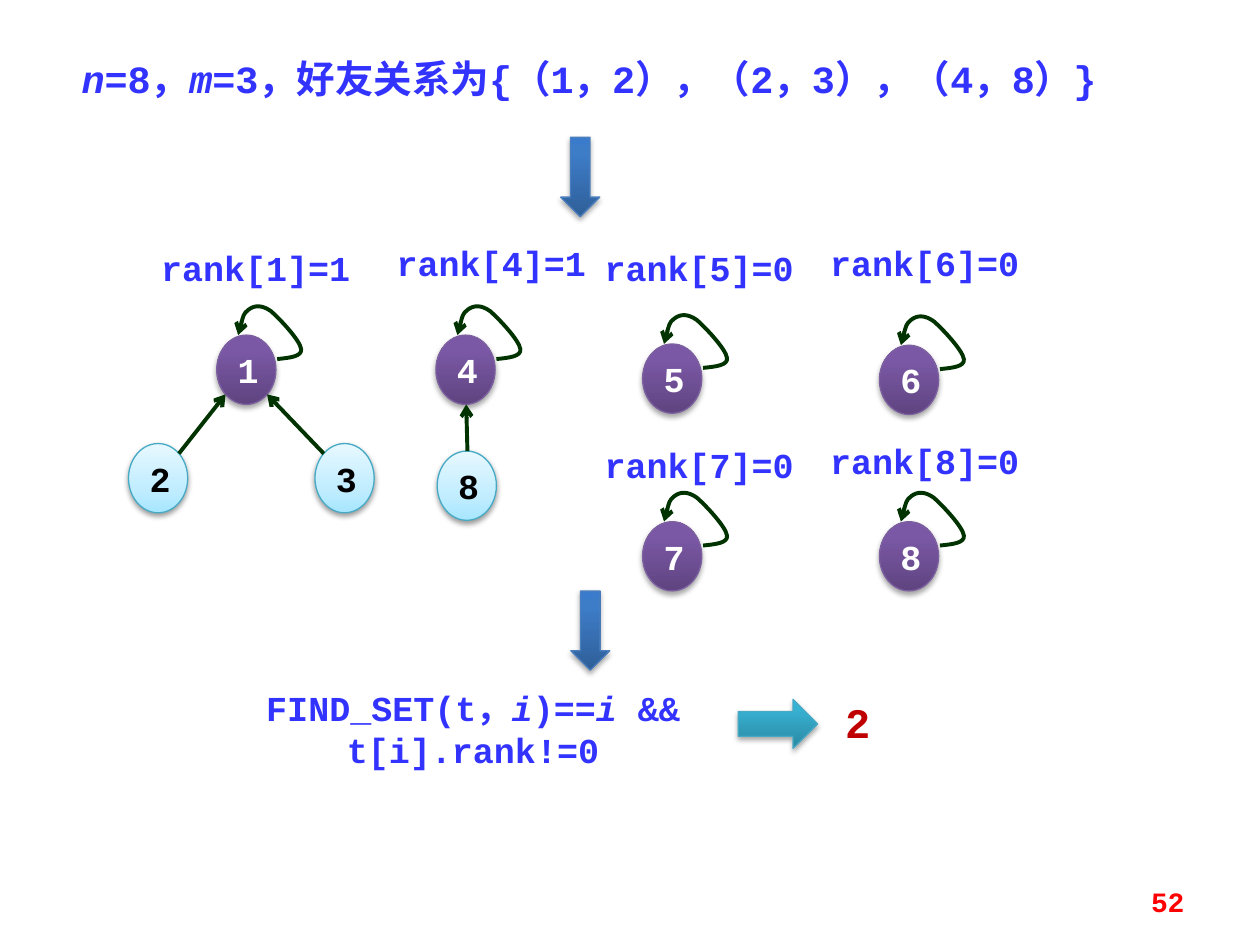
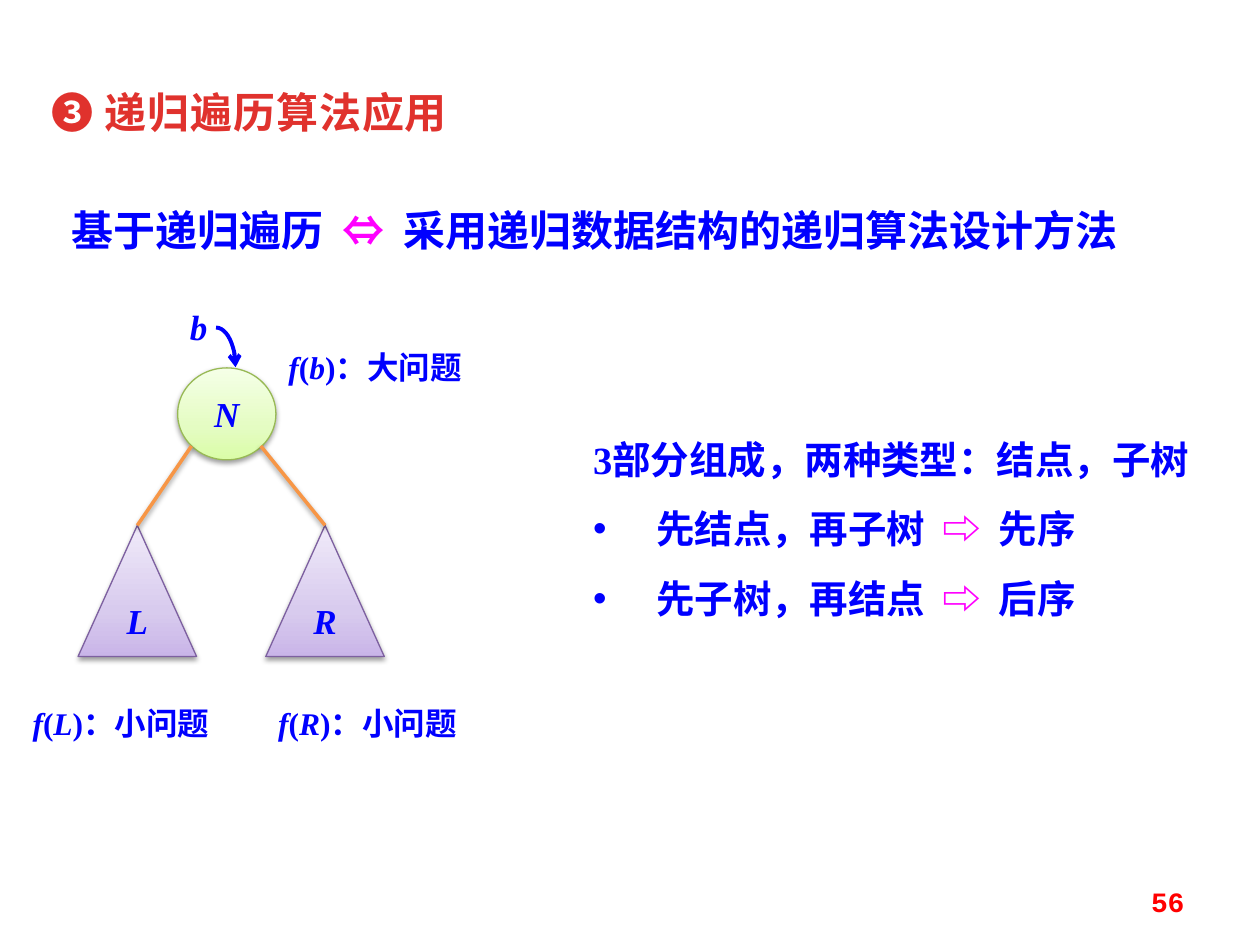
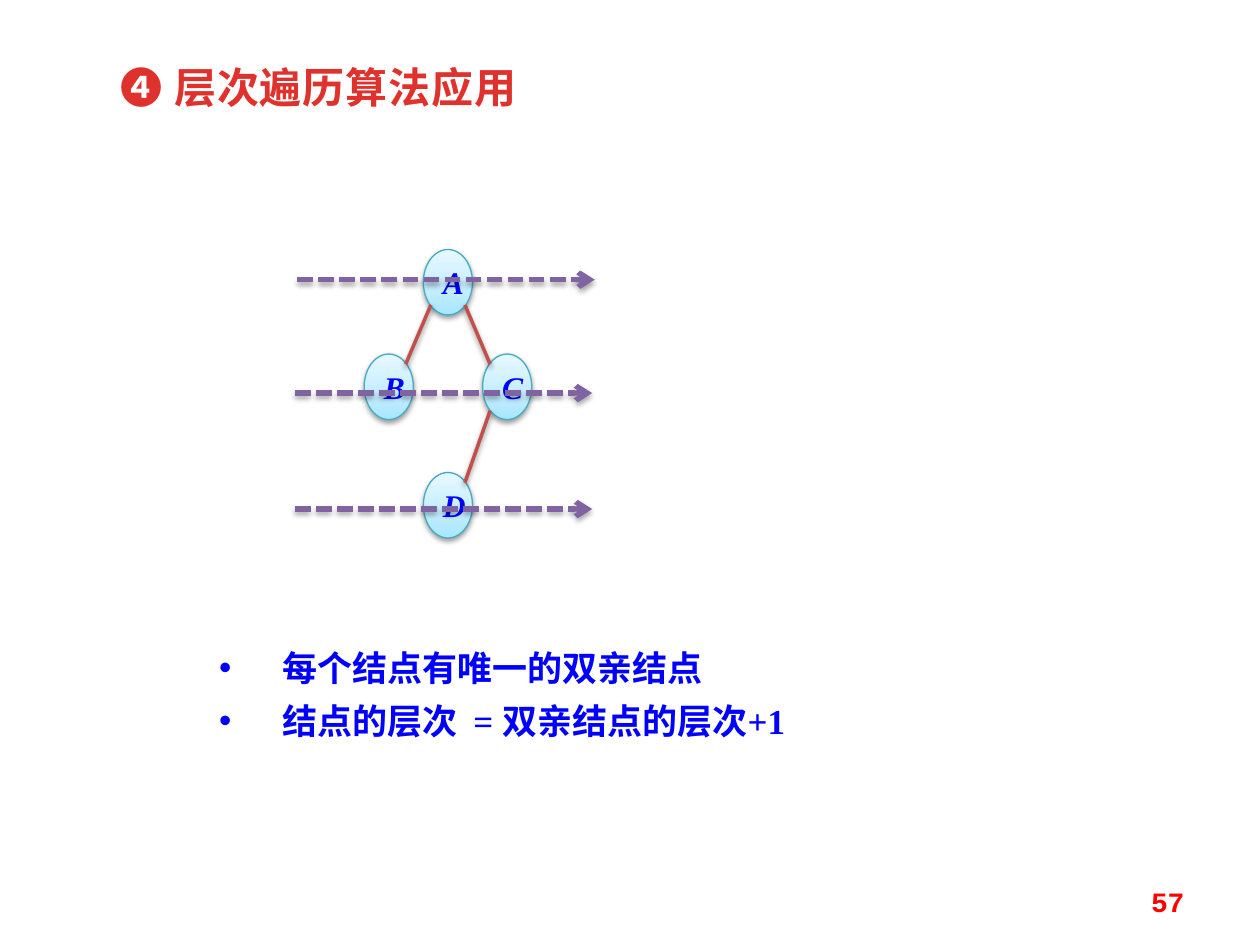
from dataclasses import dataclass
from pptx import Presentation
from pptx.dml.color import RGBColor
from pptx.enum.dml import MSO_LINE_DASH_STYLE as Dash
from pptx.enum.shapes import MSO_CONNECTOR as Link, MSO_SHAPE as Shape
from pptx.enum.text import MSO_ANCHOR as Anchor, MSO_AUTO_SIZE as Fit, PP_ALIGN as Align
from pptx.oxml import parse_xml
from pptx.oxml.ns import nsdecls, qn
from pptx.util import Inches, Pt


@dataclass(frozen=True)
class Theme:
    mono: str = "Courier New"
    serif: str = "Times New Roman"
    cjk: str = "Noto Sans CJK SC"
    bullet: str = "Arial"
    code: str = "3333FF"
    blue: str = "0000FF"
    pink: str = "FF00FF"
    white: str = "FFFFFF"
    black: str = "000000"
    loop: str = "003300"
    branch: str = "F79646"
    edge: str = "C0504D"
    level: str = "8064A2"
    answer: str = "C00000"
    number: str = "FF0000"
    heading: tuple = ((25, "E0322D"), (100, "A2201C"))
    large: int = 24
    medium: int = 22
    normal: int = 20
    small: int = 18
    footer: int = 16
    leading: Pt = Pt(30)


@dataclass(frozen=True)
class Skin:
    stops: tuple
    outline: str
    shadow: tuple


THEME = Theme()
STRONG, SOFT = (35, 3.1, 1.8), (38, 3.1, 1.6)
PURPLE = Skin(((0, "5F4480"), (80, "7B58A6"), (100, "7C57A8")), "7D60A0", STRONG)
BLUE = Skin(((0, "2F5F99"), (80, "3D7CC7"), (100, "3A7CCB")), "4B7EBC", STRONG)
TEAL = Skin(((0, "2A88A2"), (80, "37B1D2"), (100, "34B4D6")), "46AAC5", STRONG)
SKY = Skin(((0, "A7E6FF"), (35, "C1EDFF"), (100, "E7F8FF")), "46AAC5", SOFT)
LIME = Skin(((0, "DAFDA7"), (35, "E4FCC2"), (100, "F5FFE7")), "98B955", SOFT)
LILAC = Skin(((0, "C9B5E8"), (35, "D8CBEE"), (100, "F0EAF9")), "7D60A0", SOFT)

WIDTH, HEIGHT = 10, 7.5

FRIENDS = "*n*=8，*m*=3，好友关系为{（1，2），（2，3），（4，8）}"
CONDITION = "FIND_SET(t，*i*)==*i* && t[i].rank!=0"
SET_NODE = (0.47, 0.55)
ROOTS = [
    ("1", 1.72, 2.66, "rank[1]=1", 1.25, 1.91),
    ("4", 3.46, 2.66, "rank[4]=1", 3.12, 1.87),
    ("5", 5.1, 2.73, "rank[5]=0", 4.77, 1.91),
    ("6", 6.98, 2.74, "rank[6]=0", 6.56, 1.87),
    ("7", 5.1, 4.14, "rank[7]=0", 4.77, 3.47),
    ("8", 6.98, 4.14, "rank[8]=0", 6.56, 3.44),
]
CHILDREN = [("2", 1.02, 3.52), ("3", 2.5, 3.52), ("8", 3.47, 3.58)]
CHILD_LINKS = [
    ((1.42, 3.6), (1.79, 3.13)),
    ((2.57, 3.6), (2.12, 3.13)),
    ((3.71, 3.58), (3.7, 3.21)),
]
LOOP_START = (0.48, 0.19)
LOOP_CURVES = [
    ((0.58, 0.18), (0.68, 0.17), (0.67, 0.11)),
    ((0.66, 0.04), (0.5, -0.13), (0.43, -0.19)),
    ((0.36, -0.24), (0.3, -0.24), (0.25, -0.2)),
    ((0.21, -0.17), (0.19, -0.08), (0.17, 0)),
]

RECURSION = "基于递归遍历  *⇔*  采用递归数据结构的递归算法设计方法"
SUBTREES = [("L", 0.62), ("R", 2.11)]
BRANCHES = [((1.52, 3.54), (1.09, 4.17)), ((2.07, 3.54), (2.58, 4.17))]
PROBLEMS = [
    ("*f*(*b*)：大问题", 2.19, 2.6),
    ("*f*(*L*)：小问题", 0.16, 5.42),
    ("*f*(*R*)：小问题", 2.11, 5.42),
]
PARTS = "3部分组成，两种类型：结点，子树"
ORDERS = ["先结点，再子树  *⇨*  先序", "先子树，再结点  *⇨*  后序"]

TREE_NODE = (0.39, 0.52)
TREE_LEFT, TREE_STEP = 2.89, 0.47
TREE_NODES = [("B", 0, 2.81), ("A", 1, 1.98), ("C", 2, 2.81), ("D", 1, 3.75)]
TREE_EDGES = [
    ((3.42, 2.42), (3.22, 2.89)),
    ((3.69, 2.42), (3.89, 2.89)),
    ((3.89, 3.26), (3.69, 3.83)),
]
LEVELS = [(2.36, 2.22), (2.34, 3.12), (2.34, 4.04)]
LEVEL_LENGTH = 2.36
FACTS = ["每个结点有唯一的双亲结点", "结点的层次  = 双亲结点的层次+1"]


def inches(*lengths):
    return [Inches(length) for length in lengths]


def set_gradient(fill, parent, stops, angle):
    fill.gradient()
    fill.gradient_angle = angle
    stop_list = parent.find(qn("a:gradFill")).find(qn("a:gsLst"))
    for stop in list(stop_list):
        stop_list.remove(stop)
    for position, color in stops:
        stop_list.append(parse_xml(
            f'<a:gs {nsdecls("a")} pos="{position * 1000}"><a:srgbClr val="{color}"/></a:gs>'))


def set_shadow(item, shadow=None):
    inner = ""
    if shadow:
        alpha, blur, distance = shadow
        inner = (f'<a:outerShdw blurRad="{Pt(blur)}" dist="{Pt(distance)}" dir="5400000" '
                 f'rotWithShape="0"><a:srgbClr val="{THEME.black}">'
                 f'<a:alpha val="{alpha * 1000}"/></a:srgbClr></a:outerShdw>')
    item._element.spPr.append(
        parse_xml(f'<a:effectLst {nsdecls("a")}>{inner}</a:effectLst>'))


def set_line(item, color, width, arrow=False, dash=None, shadow=None):
    item.line.color.rgb = RGBColor.from_string(color)
    item.line.width = Pt(width)
    if dash:
        item.line.dash_style = dash
    if arrow:
        item.line._get_or_add_ln().append(
            parse_xml(f'<a:tailEnd {nsdecls("a")} type="arrow"/>'))
    set_shadow(item, shadow)


def add_text(para, text, font=THEME.serif, size=THEME.normal, color=THEME.blue, italic=False,
             accent=None, align=Align.LEFT, leading=None, bullet=False, gradient=None):
    if bullet:
        props = para._p.get_or_add_pPr()
        props.set("marL", str(Inches(0.5)))
        props.set("indent", str(-Inches(0.5)))
        props.append(parse_xml(f'<a:buFont {nsdecls("a")} typeface="{THEME.bullet}"/>'))
        props.append(parse_xml(f'<a:buChar {nsdecls("a")} char="•"/>'))
    para.alignment = align
    if leading:
        para.line_spacing = leading
    for index, piece in enumerate(text.split("*")):
        if not piece:
            continue
        marked = index % 2 == 1
        span = para.add_run()
        span.text = piece
        span.font.name = font
        span.font.size = Pt(size)
        span.font.bold = True
        span.font.italic = italic or (marked and not accent)
        props = span._r.get_or_add_rPr()
        if gradient:
            set_gradient(span.font.fill, props, gradient, 270)
            props.set("spc", "50")
        else:
            span.font.color.rgb = RGBColor.from_string(accent if marked and accent else color)
        props.find(qn("a:latin")).addnext(
            parse_xml(f'<a:ea {nsdecls("a")} typeface="{THEME.cjk}"/>'))


def add_box(page, place, *lines, anchor=Anchor.TOP, side=0.1, fit=Fit.SHAPE_TO_FIT_TEXT,
            wrap=True, bullets_from=None, **style):
    box = page.shapes.add_textbox(*inches(*place))
    frame = box.text_frame
    frame.word_wrap = wrap
    frame.auto_size = fit
    frame.vertical_anchor = anchor
    frame.margin_left = frame.margin_right = Inches(side)
    for index, line in enumerate(lines):
        para = frame.add_paragraph() if index else frame.paragraphs[0]
        bullet = bullets_from is not None and index >= bullets_from
        add_text(para, line, bullet=bullet, **style)


def add_title(page, text, place):
    title = page.shapes.title
    title.left, title.top, title.width, title.height = inches(*place)
    frame = title.text_frame
    frame.word_wrap = True
    frame.auto_size = Fit.SHAPE_TO_FIT_TEXT
    frame.vertical_anchor = Anchor.TOP
    add_text(frame.paragraphs[0], text, font=THEME.cjk, size=THEME.large,
             gradient=THEME.heading, leading=THEME.leading)


def add_figure(page, kind, place, skin, text="", **style):
    figure = page.shapes.add_shape(kind, *inches(*place))
    set_gradient(figure.fill, figure._element.spPr, skin.stops, 90)
    set_line(figure, skin.outline, 0.75, shadow=skin.shadow)
    if text:
        figure.text_frame.vertical_anchor = Anchor.MIDDLE
        add_text(figure.text_frame.paragraphs[0], text, align=Align.CENTER, **style)


def add_link(page, start, end, color, width, **style):
    link = page.shapes.add_connector(Link.STRAIGHT, *inches(*start, *end))
    set_line(link, color, width, **style)


def bend_segments(outline):
    segments = list(outline.iter(qn("a:lnTo")))
    for first in range(0, len(segments), 3):
        curve = parse_xml(f'<a:cubicBezTo {nsdecls("a")}/>')
        segments[first].addprevious(curve)
        for segment in segments[first:first + 3]:
            curve.append(segment.find(qn("a:pt")))
            segment.getparent().remove(segment)


def add_loop(page, left, top):
    points = [LOOP_START] + [point for curve in LOOP_CURVES for point in curve]
    places = [inches(left + x, top + y) for x, y in points]
    builder = page.shapes.build_freeform(*places[0])
    builder.add_line_segments(places[1:], close=False)
    loop = builder.convert_to_shape()
    bend_segments(loop._element.spPr)
    loop.fill.background()
    set_line(loop, THEME.loop, 2.25, arrow=True)


def add_page(deck, number, titled=True):
    page = deck.slides.add_slide(deck.slide_layouts[5 if titled else 6])
    add_box(page, (WIDTH - 2.83, HEIGHT - 0.55, 2.33, 0.4), str(number), anchor=Anchor.MIDDLE,
            fit=Fit.NONE, font=THEME.mono, size=THEME.footer, color=THEME.number,
            align=Align.RIGHT)
    return page


def build_sets(deck):
    page = add_page(deck, 52, titled=False)
    code = dict(font=THEME.mono, color=THEME.code)
    add_box(page, (0.55, 0.39, 8.44, 0.47), FRIENDS, size=THEME.medium, **code)
    for label, left, top, rank, rank_left, rank_top in ROOTS:
        add_figure(page, Shape.OVAL, (left, top, *SET_NODE), PURPLE, label,
                   font=THEME.mono, color=THEME.white)
        add_loop(page, left, top)
        add_box(page, (rank_left, rank_top, 1.56, 0.44), rank, side=0,
                align=Align.CENTER, **code)
    for label, left, top in CHILDREN:
        add_figure(page, Shape.OVAL, (left, top, *SET_NODE), SKY, label,
                   font=THEME.mono, color=THEME.black)
    for start, end in CHILD_LINKS:
        add_link(page, start, end, THEME.loop, 2.25, arrow=True)
    for left, top in ((4.45, 1.09), (4.53, 4.69)):
        add_figure(page, Shape.DOWN_ARROW, (left, top, 0.31, 0.63), BLUE)
    add_box(page, (1.8, 5.4, 3.91, 0.77), CONDITION, align=Align.CENTER, **code)
    add_figure(page, Shape.RIGHT_ARROW, (5.86, 5.55, 0.63, 0.39), TEAL)
    add_box(page, (6.61, 5.48, 0.55, 0.5), "2", wrap=False, font=THEME.mono,
            size=THEME.large, color=THEME.answer)


def build_recursion(deck):
    page = add_page(deck, 56)
    add_title(page, "❸ 递归遍历算法应用", (0.31, 0.62, 3.52, 0.52))
    add_box(page, (0.47, 1.56, 8.91, 0.52), RECURSION, size=THEME.large,
            accent=THEME.pink, leading=THEME.leading)
    add_figure(page, Shape.OVAL, (1.41, 2.92, 0.78, 0.73), LIME, "N", italic=True)
    for label, left in SUBTREES:
        add_figure(page, Shape.ISOSCELES_TRIANGLE, (left, 4.17, 0.94, 1.04), LILAC, label,
                   italic=True, leading=Pt(20))
    for start, end in BRANCHES:
        add_link(page, start, end, THEME.branch, 2, shadow=SOFT)
    pointer = page.shapes.add_shape(Shape.ARC, *inches(1.56, 2.6, 0.31, 0.63))
    pointer.fill.background()
    set_line(pointer, THEME.blue, 2.25, arrow=True)
    add_box(page, (1.41, 2.29, 0.47, 0.52), "b", italic=True, leading=THEME.leading)
    for text, left, top in PROBLEMS:
        add_box(page, (left, top, 1.72, 0.52), text, size=THEME.small, leading=THEME.leading)
    add_box(page, (4.61, 3.23, 5.08, 1.77), PARTS, *ORDERS, bullets_from=1,
            size=THEME.medium, accent=THEME.pink, leading=1.5)


def build_levels(deck):
    page = add_page(deck, 57)
    add_title(page, "❹ 层次遍历算法应用", (0.86, 0.42, 3.67, 0.5))
    for label, column, top in TREE_NODES:
        place = (TREE_LEFT + column * TREE_STEP, top, *TREE_NODE)
        add_figure(page, Shape.OVAL, place, SKY, label, size=THEME.small, italic=True)
    for start, end in TREE_EDGES:
        add_link(page, start, end, THEME.edge, 2, shadow=SOFT)
    for left, top in LEVELS:
        add_link(page, (left, top), (left + LEVEL_LENGTH, top), THEME.level, 3,
                 arrow=True, dash=Dash.SQUARE_DOT, shadow=STRONG)
    add_box(page, (1.64, 5, 5.08, 0.94), *FACTS, bullets_from=0, leading=THEME.leading)


def main():
    deck = Presentation()
    deck.slide_width, deck.slide_height = inches(WIDTH, HEIGHT)
    for build in (build_sets, build_recursion, build_levels):
        build(deck)
    deck.save("out.pptx")


if __name__ == "__main__":
    main()
